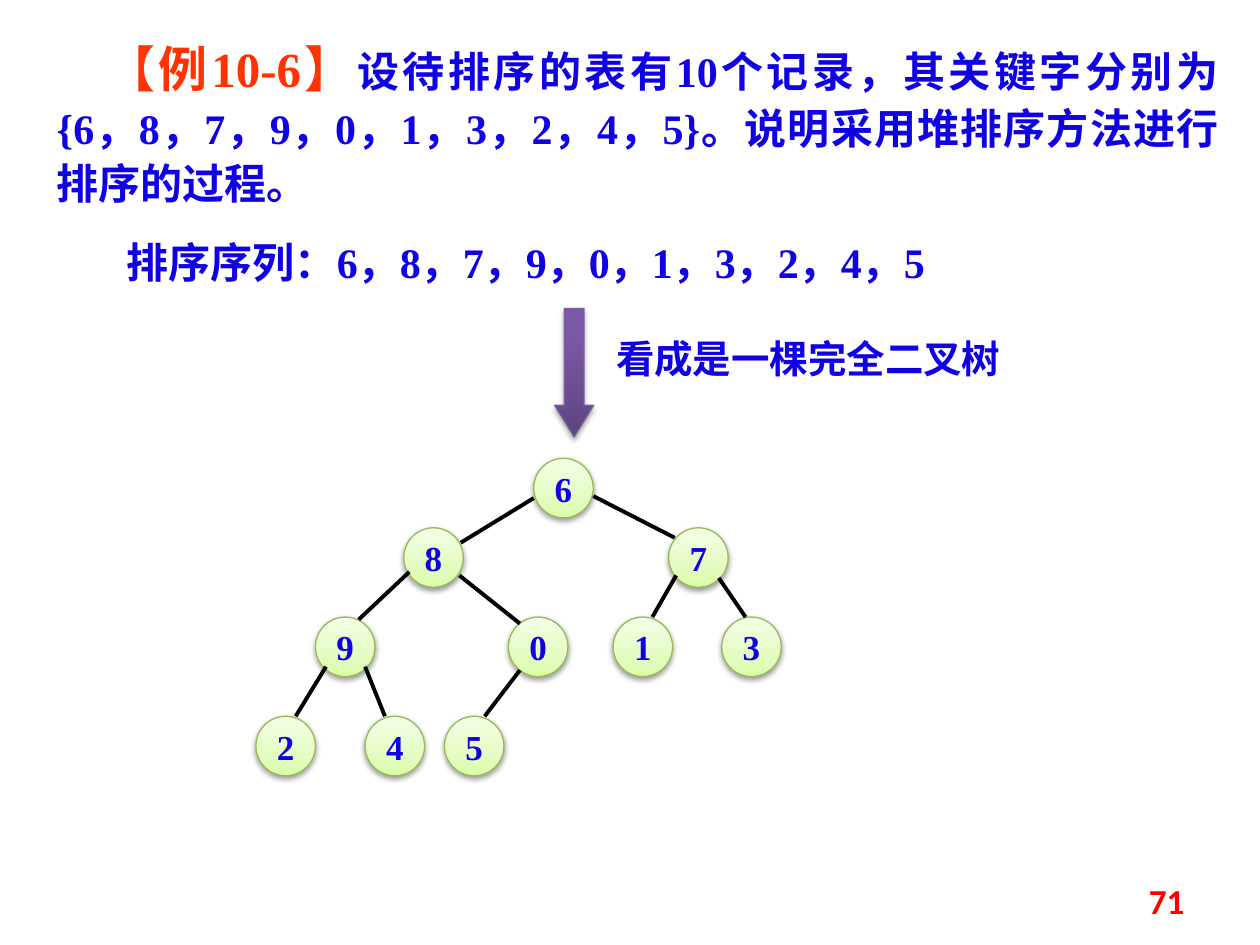
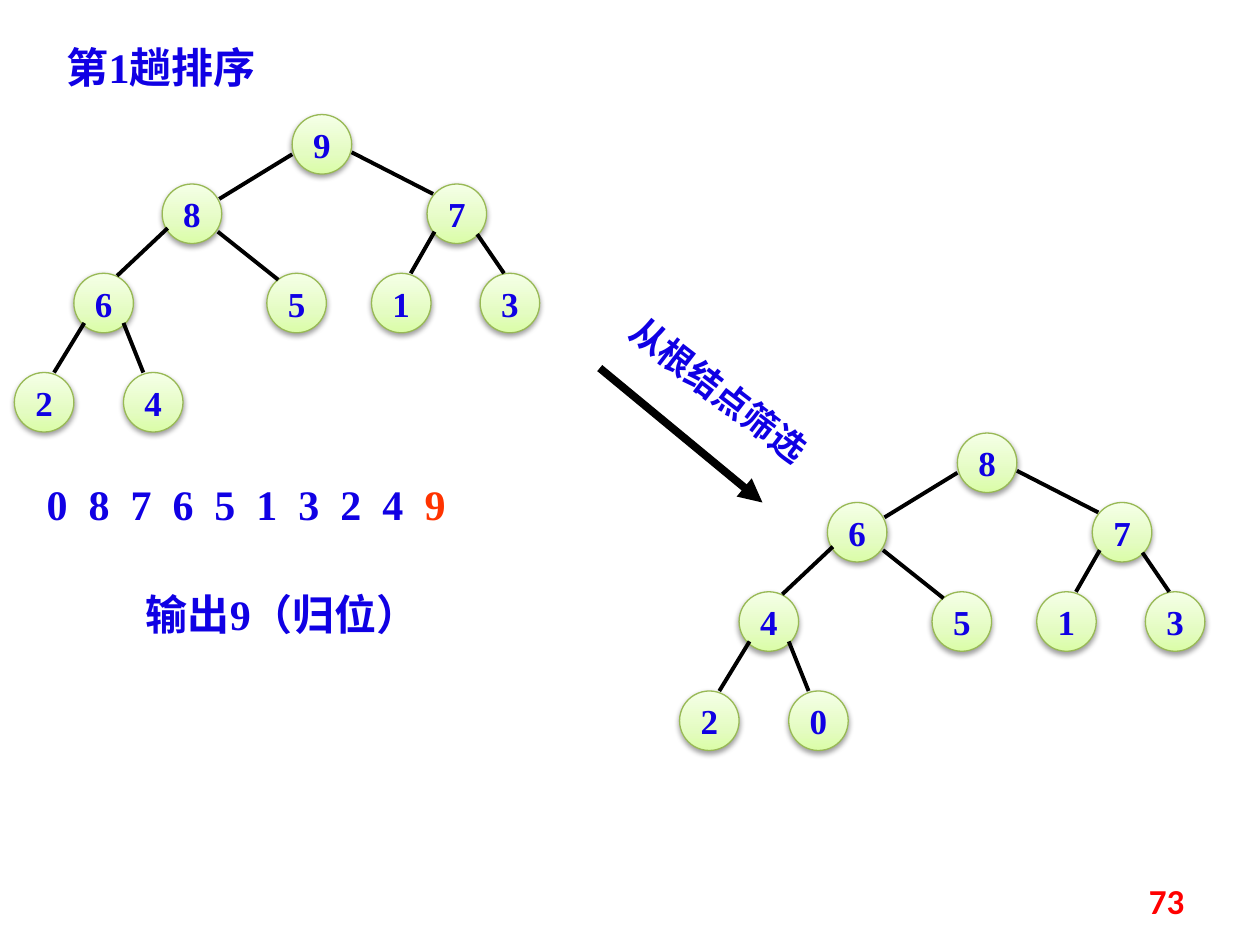
import pptx
import pptx.util
import pptx.dml.color
import pptx.enum.shapes
import pptx.enum.text
import pptx.oxml
import pptx.oxml.ns

Cm = pptx.util.Cm
RGBColor = pptx.dml.color.RGBColor
SHAPE = pptx.enum.shapes.MSO_SHAPE
STRAIGHT = pptx.enum.shapes.MSO_CONNECTOR.STRAIGHT
ALIGN = pptx.enum.text.PP_ALIGN
ANCHOR = pptx.enum.text.MSO_ANCHOR
NS = pptx.oxml.ns.nsdecls("a")

BLUE = RGBColor(0x10, 0x00, 0xE4)
ORANGE = RGBColor(0xFF, 0x33, 0x00)
RED = RGBColor(0xFF, 0x00, 0x00)
BLACK = RGBColor(0x00, 0x00, 0x00)
GREEN_LINE = RGBColor(0x98, 0xB9, 0x55)
PURPLE_LINE = RGBColor(0x7D, 0x60, 0xA0)
GREEN_STOPS = [(0, RGBColor(0xDA, 0xFD, 0xA7)), (35, RGBColor(0xE4, 0xFC, 0xC2)),
               (100, RGBColor(0xF5, 0xFF, 0xE7))]
PURPLE_STOPS = [(0, RGBColor(0x5F, 0x44, 0x80)), (80, RGBColor(0x7B, 0x58, 0xA6)),
                (100, RGBColor(0x7C, 0x57, 0xA8))]
LATIN = "Times New Roman"
CJK = "Noto Sans CJK SC"


def write(tf, runs, align=ALIGN.LEFT, anchor=ANCHOR.TOP, font=LATIN, wrap=True):
    """Fill a text frame with bold runs of (text, size, colour); return its paragraph."""
    tf.word_wrap = wrap
    tf.auto_size = pptx.enum.text.MSO_AUTO_SIZE.NONE
    tf.vertical_anchor = anchor
    p = tf.paragraphs[0]
    p.alignment = align
    for text, size, colour in runs:
        r = p.add_run()
        r.text = text
        r.font.name = font
        r.font.size = pptx.util.Pt(size)
        r.font.bold = True
        r.font.color.rgb = colour
        r.font.fill  # keeps the fill ahead of the typefaces
        latin = r.font._element.find(pptx.oxml.ns.qn("a:latin"))
        latin.addnext(pptx.oxml.parse_xml(f'<a:ea {NS} typeface="{CJK}"/>'))
    return p


def decorate(s, stops, line, alpha, dist):
    """Give a shape an upward gradient, a thin outline and a soft shadow below."""
    gs = "".join(f'<a:gs pos="{pos * 1000}"><a:srgbClr val="{c}"/></a:gs>' for pos, c in stops)
    sp_pr = s._element.spPr
    sp_pr.append(pptx.oxml.parse_xml(
        f'<a:gradFill {NS} rotWithShape="1"><a:gsLst>{gs}</a:gsLst>'
        '<a:lin ang="16200000" scaled="0"/></a:gradFill>'))
    s.line.color.rgb = line
    s.line.width = pptx.util.Pt(0.75)
    sp_pr.append(pptx.oxml.parse_xml(
        f'<a:effectLst {NS}><a:outerShdw blurRad="40000" dist="{dist}" dir="5400000" '
        f'rotWithShape="0"><a:srgbClr val="000000"><a:alpha val="{alpha * 1000}"/>'
        '</a:srgbClr></a:outerShdw></a:effectLst>'))


prs = pptx.Presentation()
prs.slide_width = Cm(25.4)
prs.slide_height = Cm(19.05)

# Titles and page numbers
pages = [
    ("71", (0.89, 0.53, 23.93, 3.84), ALIGN.JUSTIFY,
     [("【例10-6】", 28, ORANGE),
      ("设待排序的表有10个记录，其关键字分别为{6，8，7，9，0，1，3，2，4，5}。"
       "说明采用堆排序方法进行排序的过程。", 24, BLUE)]),
    ("73", (1.09, 0.71, 5.41, 1.27), ALIGN.LEFT, [("第1趟排序", 24, BLUE)]),
]
for number, box, align, runs in pages:
    s = prs.slides.add_slide(prs.slide_layouts[5])
    title = s.shapes.title
    title.left, title.top, title.width, title.height = [Cm(v) for v in box]
    p = write(title.text_frame, runs, align)
    if align == ALIGN.JUSTIFY:
        p.line_spacing = 1.1
        p._p.get_or_add_pPr().set("indent", str(Cm(1)))
    sp = s.shapes.add_textbox(Cm(18.2), Cm(17.65), Cm(5.93), Cm(1.01))
    write(sp.text_frame, [(number, 20, RED)], ALIGN.RIGHT, ANCHOR.MIDDLE, "Calibri")
s1, s2 = prs.slides

# Other texts
texts = [
    (s1, (2.31, 4.65, 19.4, 1.27), 0, LATIN, [("排序序列：6，8，7，9，0，1，3，2，4，5", 24, BLUE)]),
    (s1, (12.17, 6.63, 10, 1.19), 0, LATIN, [("看成是一棵完全二叉树", 22, BLUE)]),
    (s2, (2.69, 11.73, 6.4, 1.27), 0, LATIN, [("输出9（归位）", 24, BLUE)]),
    (s2, (12.12, 7.32, 4.8, 1.09), 37.5, CJK, [("从根结点筛选", 20, BLUE)]),
]
for s, box, rotation, font, runs in texts:
    sp = s.shapes.add_textbox(*[Cm(v) for v in box])
    sp.rotation = rotation
    write(sp.text_frame, runs, font=font)

# Heap sequence, spread by character spacing
sp = s2.shapes.add_textbox(Cm(0.69), Cm(9.53), Cm(10.59), Cm(1.27))
p = write(sp.text_frame, [("0 8 7 6 5 1 3 2 4 ", 24, BLUE), ("9", 24, ORANGE)])
for r in p.runs:
    r.font._element.set("spc", "300")

# Block arrow from the sequence to its tree
sp = s1.shapes.add_shape(SHAPE.DOWN_ARROW, Cm(11.18), Cm(6.22), Cm(0.79), Cm(2.59))
sp.adjustments[0], sp.adjustments[1] = 0.5, 0.81
decorate(sp, PURPLE_STOPS, PURPLE_LINE, 35, 23000)

# Trees: nodes in level order, measured from the corner of the root
NODE = 1.2
NODE_AT = [(0, 0), (-2.62, 1.4), (2.72, 1.4),
           (-4.4, 3.2), (-0.51, 3.2), (1.6, 3.2), (3.79, 3.2),
           (-5.6, 5.2), (-3.4, 5.2), (-1.8, 5.2)]
# The edge that leads to each node after the root
EDGE_AT = [(0, 0.8, -1.47, 1.7), (1.2, 0.76, 2.84, 1.6),
           (-2.51, 2.29, -3.53, 3.25), (-1.5, 2.36, -0.28, 3.33),
           (2.87, 2.36, 2.39, 3.2), (3.73, 2.41, 4.27, 3.2),
           (-4.19, 4.2, -4.8, 5.2), (-3.4, 4.2, -3, 5.2), (-0.28, 4.27, -0.99, 5.2)]
trees = [(s1, 10.76, 9.24, "6879013245"),
         (s2, 5.89, 2.31, "987651324"),
         (s2, 19.3, 8.73, "867451320")]
# Straight lines as (slide, ends, width, has an arrowhead)
lines = [(s2, (12.09, 7.42, 15.37, 10.13), 4.5, True)]
for s, left, top, keys in trees:
    for key, (x, y) in zip(keys, NODE_AT):
        sp = s.shapes.add_shape(SHAPE.OVAL, Cm(left + x), Cm(top + y), Cm(NODE), Cm(NODE))
        decorate(sp, GREEN_STOPS, GREEN_LINE, 38, 20000)
        write(sp.text_frame, [(key, 20, BLUE)], ALIGN.CENTER, ANCHOR.MIDDLE, wrap=False)
    for x1, y1, x2, y2 in EDGE_AT[:len(keys) - 1]:
        lines.append((s, (left + x1, top + y1, left + x2, top + y2), 2.25, False))

for s, ends, width, arrow in lines:
    sp = s.shapes.add_connector(STRAIGHT, *[Cm(v) for v in ends])
    sp.line.color.rgb = BLACK
    sp.line.width = pptx.util.Pt(width)
    if arrow:
        sp.line._get_or_add_ln().append(pptx.oxml.parse_xml(f'<a:tailEnd {NS} type="triangle"/>'))
    sp._element.spPr.append(pptx.oxml.parse_xml(f"<a:effectLst {NS}/>"))

prs.save("out.pptx")
